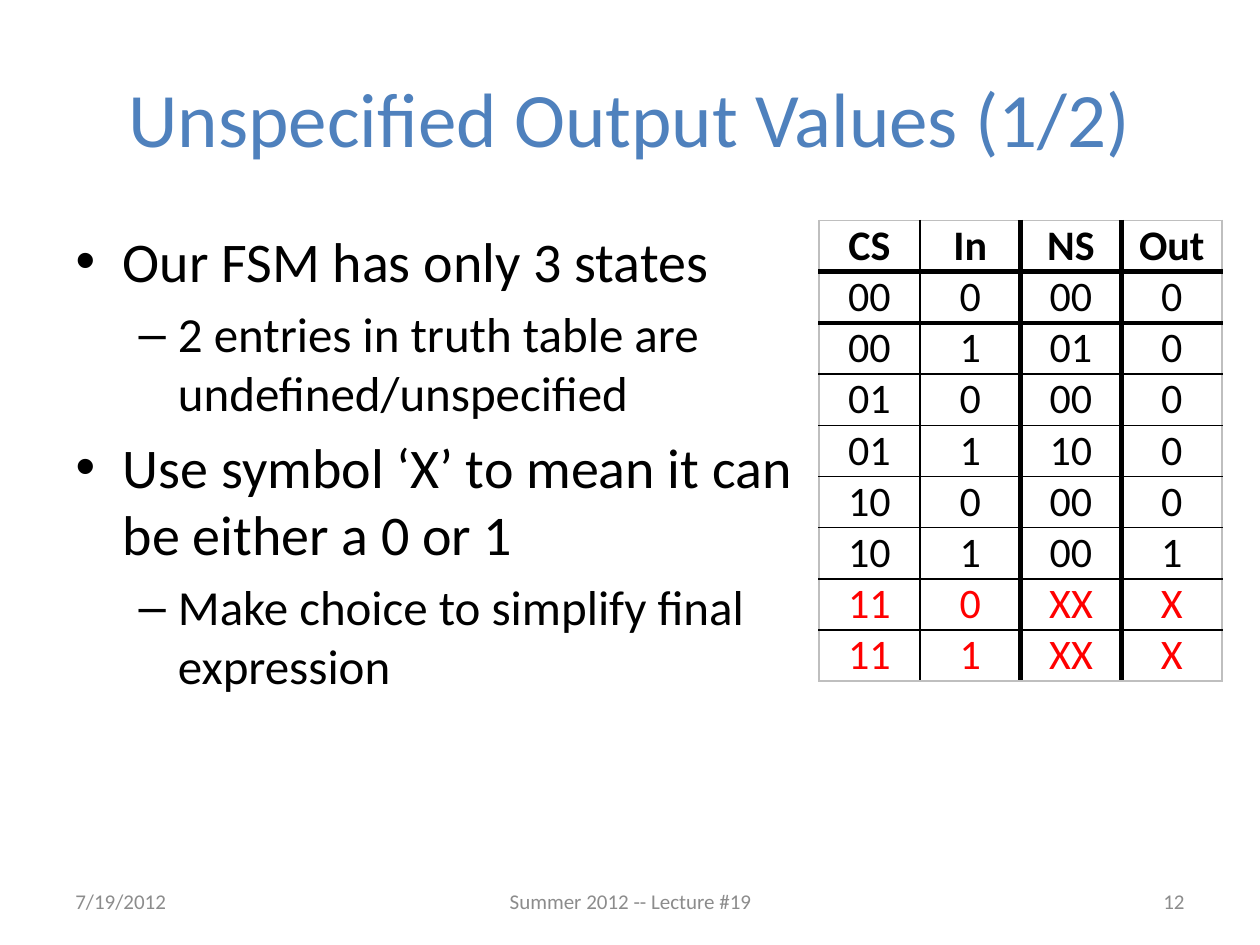
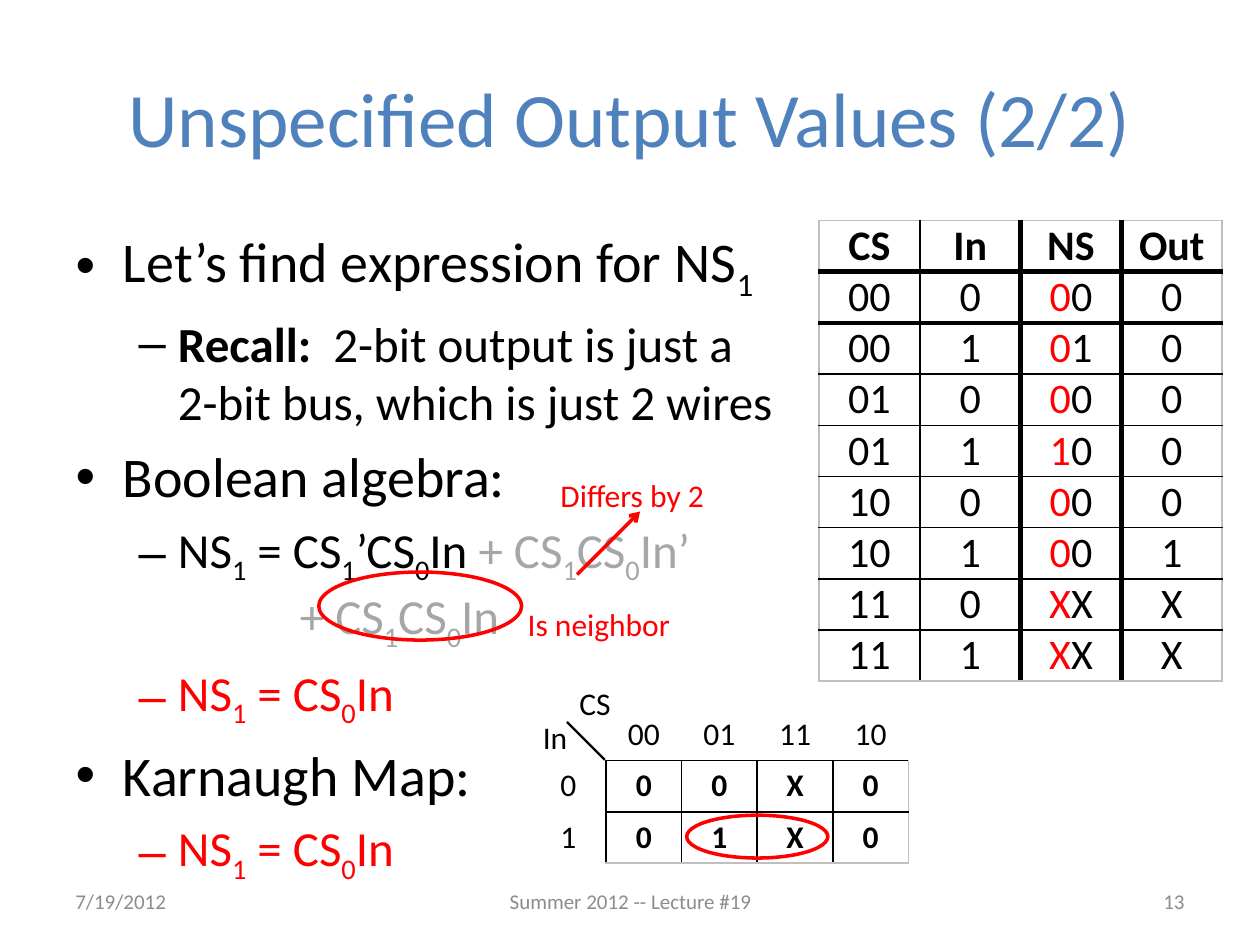
from dataclasses import dataclass

from lxml import etree
from pptx import Presentation
from pptx import util as u
from pptx.dml.color import RGBColor
from pptx.enum import shapes, text
from pptx.oxml import ns


@dataclass(frozen=True)
class Theme:
    font: str = "Calibri"
    title: str = "4F81BD"
    ink: str = "000000"
    accent: str = "FF0000"
    muted: str = "A6A6A6"
    footer: str = "8C8C8C"
    edge: str = "BFBFBF"
    title_size: int = 44
    body_sizes: tuple = (32, 28)
    table_size: int = 24
    note_size: int = 18
    footer_size: int = 12


THEME = Theme()
ALIGN = text.PP_ALIGN

# Content: an underscore makes the next character a subscript.
# A paragraph is (level, runs); a run is (text, colour, bold).
# The level "continued" is an unbulleted second line of an equation.
INK, RED, GREY = THEME.ink, THEME.accent, THEME.muted
SIMPLIFIED = (1, [("NS_1 = CS_0In", RED, False)])
STATES_BODY = [
    (0, [("Our FSM has only 3 states", INK, False)]),
    (1, [("2 entries in truth table are \nundefined/unspecified", INK, False)]),
    (0, [("Use symbol ‘X’ to mean it can\nbe either a 0 or 1", INK, False)]),
    (1, [("Make choice to simplify final\nexpression", INK, False)]),
]
EXPRESSION_BODY = [
    (0, [("Let’s find expression for NS_1", INK, False)]),
    (1, [("Recall:", INK, True),
         ("  2-bit output is just a\n2-bit bus, which is just 2 wires", INK, False)]),
    (0, [("Boolean algebra:", INK, False)]),
    (1, [("NS_1 = CS_1’CS_0In ", INK, False), ("+ CS_1CS_0In’", GREY, False)]),
    ("continued", [("+ CS_1CS_0In", GREY, False)]),
    SIMPLIFIED,
    (0, [("Karnaugh Map:", INK, False)]),
    SIMPLIFIED,
]
TRUTH_TABLE = [
    ("CS", "In", "NS", "Out"),
    ("00", "0", "00", "0"),
    ("00", "1", "01", "0"),
    ("01", "0", "00", "0"),
    ("01", "1", "10", "0"),
    ("10", "0", "00", "0"),
    ("10", "1", "00", "1"),
    ("11", "0", "XX", "X"),
    ("11", "1", "XX", "X"),
]
KARNAUGH_MAP = [
    ("", "00", "01", "11", "10"),
    ("0", "0", "0", "X", "0"),
    ("1", "0", "1", "X", "0"),
]
FOOTER_DATE, FOOTER_LECTURE = "7/19/2012", "Summer 2012 -- Lecture #19"
NOTES = [
    ("Differs by 2", RED, (4.35, 3.73, 1.36, 0.4)),
    ("Is neighbor", RED, (4.09, 4.75, 1.34, 0.4)),
]
MAP_LABELS = [
    ("CS", INK, (4.5, 5.38, 0.45, 0.4)),
    ("In", INK, (4.21, 5.65, 0.4, 0.4)),
]
NEIGHBOR_RING = (2.53, 4.54, 1.61, 0.54)
MAP_RING = (5.45, 6.47, 1.12, 0.34)

# Table rules as (colour, points); None leaves the edge open
THIN, THICK, EDGE = (INK, 1), (INK, 3), (THEME.edge, 1)
TRUTH_COLUMN_LINES = [EDGE, THIN, THICK, THICK, EDGE]
TRUTH_ROW_LINES = [EDGE, THICK, THICK] + [THIN] * 6 + [EDGE]
MAP_COLUMN_LINES = [None] + [THIN] * 4 + [EDGE]
MAP_ROW_LINES = [None, THIN, THIN, EDGE]


# Shared helpers
def inches(*values):
    return [u.Inches(value) for value in values]


def set_all(target, **values):
    for name, value in values.items():
        setattr(target, name, value)


def add_run(paragraph, words, size, colour, bold=False, subscript=False):
    run = paragraph.add_run()
    run.text = words
    set_all(run.font, name=THEME.font, size=u.Pt(size), bold=bold)
    run.font.color.rgb = RGBColor.from_string(colour)
    if subscript:
        run.font._element.set("baseline", "-25000")


def add_words(paragraph, words, size, colour, bold=False):
    for number, line in enumerate(words.split("\n")):
        if number:
            paragraph.add_line_break()
        plain, *subscripted = line.split("_")
        if plain:
            add_run(paragraph, plain, size, colour, bold)
        for piece in subscripted:
            add_run(paragraph, piece[0], size, colour, bold, subscript=True)
            if piece[1:]:
                add_run(paragraph, piece[1:], size, colour, bold)


def place(shape, box):
    set_all(shape, **dict(zip(("left", "top", "width", "height"), inches(*box))))


def add_label(slide, words, colour, box, size=THEME.note_size, align=ALIGN.LEFT,
              **frame_format):
    frame = slide.shapes.add_textbox(*inches(*box)).text_frame
    set_all(frame, **{"word_wrap": False, **frame_format})
    frame.paragraphs[0].alignment = align
    add_run(frame.paragraphs[0], words, size, colour)


def add_line(slide, start, end, colour, width, arrow=False):
    line = slide.shapes.add_connector(
        shapes.MSO_CONNECTOR.STRAIGHT, *inches(*start, *end))
    line.line.color.rgb = RGBColor.from_string(colour)
    line.line.width = u.Pt(width)
    if arrow:
        etree.SubElement(line.line._get_or_add_ln(), ns.qn("a:tailEnd"), type="arrow")
    etree.SubElement(line._element.spPr, ns.qn("a:effectLst"))


def add_ring(slide, box):
    ring = slide.shapes.add_shape(shapes.MSO_SHAPE.OVAL, *inches(*box))
    ring.shadow.inherit = False
    ring.fill.background()
    ring.line.color.rgb = RGBColor.from_string(RED)
    ring.line.width = u.Pt(2)


# Tables
def set_border(cell, side, rule):
    properties = cell._tc.get_or_add_tcPr()
    line = etree.SubElement(properties, ns.qn("a:ln" + side))
    if rule is None:
        etree.SubElement(line, ns.qn("a:noFill"))
        return
    colour, width = rule
    line.set("w", str(u.Pt(width)))
    fill = etree.SubElement(line, ns.qn("a:solidFill"))
    etree.SubElement(fill, ns.qn("a:srgbClr"), val=colour)


def add_grid(slide, rows, box, column_lines, row_lines, cell_runs, size,
             inset=None, open_headings=False):
    frame = slide.shapes.add_table(len(rows), len(rows[0]), *inches(*box))
    table = frame.table
    set_all(table, first_row=False, horz_banding=False)
    style = table._tbl.tblPr.find(ns.qn("a:tableStyleId"))
    style.text = "{2D5ABB26-0587-4C30-8999-92F81FD0307C}"
    for r, row in enumerate(rows):
        for c, value in enumerate(row):
            cell = table.cell(r, c)
            if inset is not None:
                set_all(cell, margin_left=inset, margin_right=inset,
                        margin_top=inset, margin_bottom=inset)
            open_sides = ("LR" if r == 0 else "") + ("TB" if c == 0 else "")
            rules = {"L": column_lines[c], "R": column_lines[c + 1],
                     "T": row_lines[r], "B": row_lines[r + 1]}
            for side, rule in rules.items():
                hidden = open_headings and side in open_sides
                set_border(cell, side, None if hidden else rule)
            cell.fill.background()
            paragraph = cell.text_frame.paragraphs[0]
            paragraph.alignment = ALIGN.CENTER
            for words, colour, bold in cell_runs(r, c, value):
                add_run(paragraph, words, size, colour, bold)


def unspecified_rows(r, c, value):
    return [(value, RED if r and "X" in TRUTH_TABLE[r][2] else INK, r == 0)]


def first_state_bit(r, c, value):
    if r and c == 2:
        return [(value[0], RED, False), (value[1], INK, False)]
    return [(value, INK, r == 0)]


def map_cell(r, c, value):
    return [(value, INK, r > 0 and c > 0)] if value else []


# Frame shared by both slides
def add_lecture_slide(presentation, title, number, body, body_height, cell_runs):
    slide = presentation.slides.add_slide(presentation.slide_layouts[1])
    title_shape, body_shape = slide.placeholders
    place(title_shape, (0.5, 0.3, 9, 1.25))
    heading = title_shape.text_frame.paragraphs[0]
    heading.alignment = ALIGN.CENTER
    add_run(heading, title, THEME.title_size, THEME.title)

    place(body_shape, (0.5, 1.75, 9, body_height))
    frame = body_shape.text_frame
    frame.auto_size = text.MSO_AUTO_SIZE.NONE
    for index, (level, runs) in enumerate(body):
        paragraph = frame.add_paragraph() if index else frame.paragraphs[0]
        continued = level == "continued"
        paragraph.level = 1 if continued else level
        if continued:
            paragraph.space_before = u.Pt(0)
            properties = paragraph._p.get_or_add_pPr()
            properties.set("marL", str(u.Inches(1.78)))
            properties.set("indent", "0")
            etree.SubElement(properties, ns.qn("a:buNone"))
        for words, colour, bold in runs:
            add_words(paragraph, words, THEME.body_sizes[paragraph.level], colour, bold)

    footers = [(FOOTER_DATE, 0.5, 2.33, ALIGN.LEFT),
               (FOOTER_LECTURE, 3.42, 3.17, ALIGN.CENTER),
               (str(number), 7.17, 2.33, ALIGN.RIGHT)]
    for words, left, width, align in footers:
        add_label(slide, words, THEME.footer, (left, 6.95, width, 0.4),
                  THEME.footer_size, align, word_wrap=True,
                  vertical_anchor=text.MSO_ANCHOR.MIDDLE)

    add_grid(slide, TRUTH_TABLE, (6.5, 1.75, 3.2, 3.66), TRUTH_COLUMN_LINES,
             TRUTH_ROW_LINES, cell_runs, THEME.table_size, inset=0)
    return slide


def main():
    presentation = Presentation()
    presentation.slide_width, presentation.slide_height = inches(10, 7.5)

    add_lecture_slide(presentation, "Unspecified Output Values (1/2)", 12,
                      STATES_BODY, 4.95, unspecified_rows)
    slide = add_lecture_slide(presentation, "Unspecified Output Values (2/2)", 13,
                              EXPRESSION_BODY, 5.4, first_state_bit)

    # Remarks on the algebra
    add_line(slide, (4.58, 4.56), (5.08, 4.06), RED, 2, arrow=True)
    add_ring(slide, NEIGHBOR_RING)
    for note in NOTES:
        add_label(slide, *note)

    # Karnaugh map with its corner labels
    add_grid(slide, KARNAUGH_MAP, (4.21, 5.63, 3, 1.22), MAP_COLUMN_LINES,
             MAP_ROW_LINES, map_cell, THEME.note_size, open_headings=True)
    add_line(slide, (4.5, 5.73), (4.8, 6.03), INK, 1.25)
    for label in MAP_LABELS:
        add_label(slide, *label)
    add_ring(slide, MAP_RING)

    presentation.save("out.pptx")


if __name__ == "__main__":
    main()
